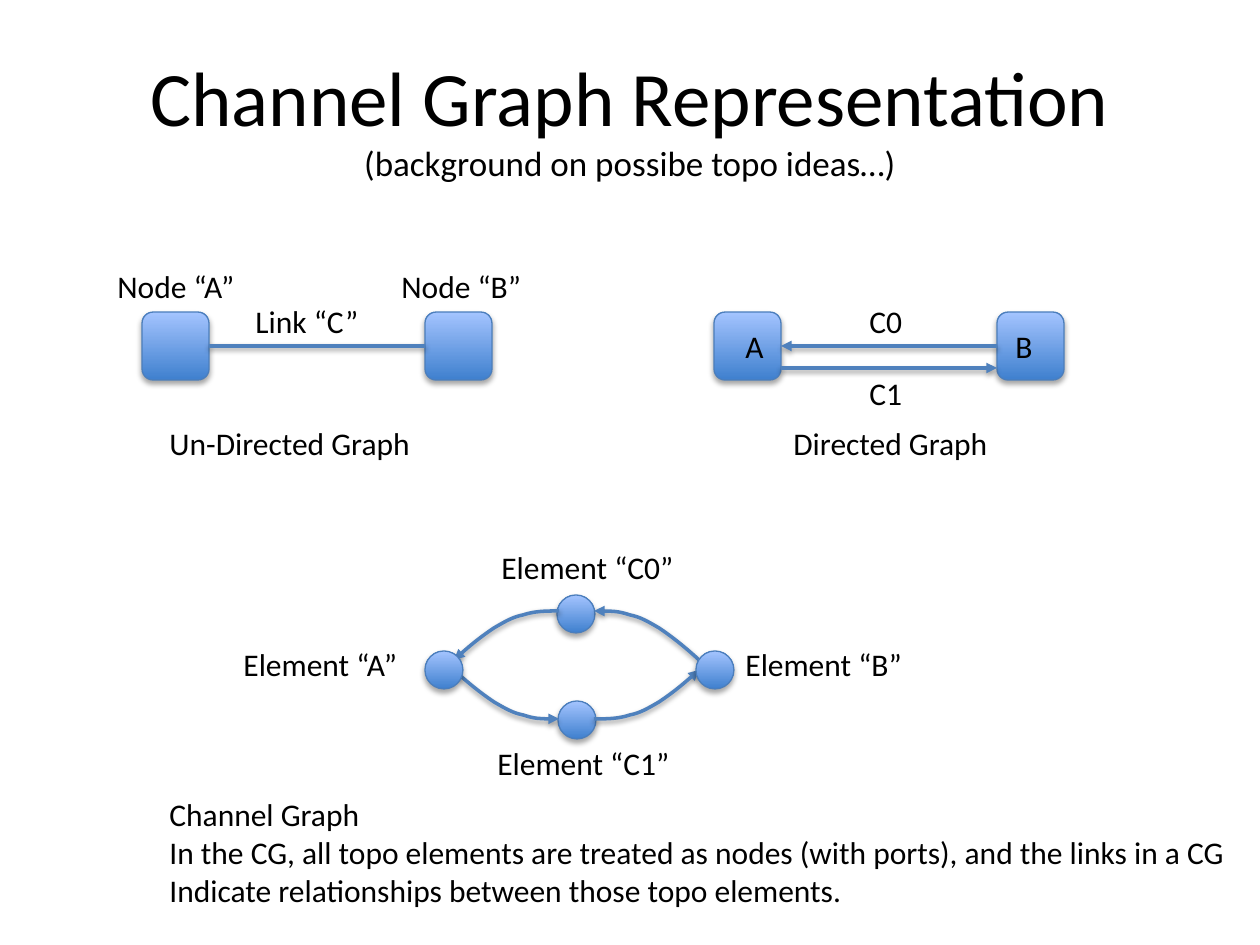
from lxml import etree
from pptx import Presentation
from pptx.dml.color import RGBColor
from pptx.enum.shapes import MSO_CONNECTOR, MSO_SHAPE
from pptx.enum.text import MSO_ANCHOR, MSO_AUTO_SIZE, PP_ALIGN
from pptx.oxml.ns import qn
from pptx.util import Emu, Pt

ROUND = MSO_SHAPE.ROUNDED_RECTANGLE
OVAL = MSO_SHAPE.OVAL
STRAIGHT = MSO_CONNECTOR.STRAIGHT
MIDDLE = MSO_ANCHOR.MIDDLE
TOP = MSO_ANCHOR.TOP
FIT = MSO_AUTO_SIZE.SHAPE_TO_FIT_TEXT
NO_FIT = MSO_AUTO_SIZE.NONE
LEFT = PP_ALIGN.LEFT
CENTER = PP_ALIGN.CENTER

HEAD, TAIL = "a:headEnd", "a:tailEnd"
NODE_W, NODE_H, DOT, LABEL_H = 67, 68, 38, 50
ARC = [(0, 0), (14, 13), (28, 24), (40, 32), (52, 39),
       (59, 43), (69, 45), (81, 49), (92, 49), (105, 49)]


def px(n):
    return Emu(round(n * 914400 / 126))


def rgb(color):
    return RGBColor.from_string(color)


def apply(obj, values):
    for name, value in values.items():
        setattr(obj, name, value)


class Deck:
    font = "Calibri"
    ink = "000000"
    edge = "4B7EBC"
    link = "4F81BD"
    gradient = ("3F80CE", "A4C4FF")

    def __init__(self, slide):
        self.shapes = slide.shapes

    def shadow(self, s, alpha, dist):
        spPr = s.element.spPr
        effects = spPr.find(qn("a:effectLst"))
        if effects is None:
            effects = etree.SubElement(spPr, qn("a:effectLst"))
        outer = etree.SubElement(
            effects, qn("a:outerShdw"), blurRad=str(Pt(3.1)),
            dist=str(Pt(dist)), dir="5400000", rotWithShape="0")
        color = etree.SubElement(outer, qn("a:srgbClr"), val="000000")
        etree.SubElement(color, qn("a:alpha"), val=str(alpha * 1000))

    def stroke(self, s, arrow):
        s.line.color.rgb = rgb(self.link)
        s.line.width = Pt(2)
        if arrow:
            ln = s.element.spPr.find(qn("a:ln"))
            etree.SubElement(ln, qn(arrow), type="triangle")
        self.shadow(s, 38, 1.6)

    def node(self, kind, x, y, w, h):
        s = self.shapes.add_shape(kind, px(x), px(y), px(w), px(h))
        s.shadow.inherit = False
        s.fill.gradient()
        s.fill.gradient_angle = 90
        for stop, color in zip(s.fill.gradient_stops, self.gradient):
            stop.color.rgb = rgb(color)
        s.line.color.rgb = rgb(self.edge)
        s.line.width = Pt(0.75)
        self.shadow(s, 35, 1.8)
        return s

    def line(self, x1, y1, x2, y2, arrow=None, ends=None):
        s = self.shapes.add_connector(STRAIGHT, px(x1), px(y1), px(x2), px(y2))
        if ends:
            s.begin_connect(ends[0], 1)
            s.end_connect(ends[1], 3)
        self.stroke(s, arrow)

    def curve(self, x, y, x_sign, y_sign, arrow):
        points = [(px(x + x_sign * dx), px(y + y_sign * dy)) for dx, dy in ARC]
        builder = self.shapes.build_freeform(*points[0])
        builder.add_line_segments(points[1:], close=False)
        s = builder.convert_to_shape()
        outline = s.element.spPr.find(".//" + qn("a:path"))
        segments = outline.findall(qn("a:lnTo"))
        for i in range(0, len(segments), 3):
            bezier = etree.SubElement(outline, qn("a:cubicBezTo"))
            for segment in segments[i:i + 3]:
                bezier.append(segment[0])
                outline.remove(segment)
        s.shadow.inherit = False
        s.fill.background()
        self.stroke(s, arrow)

    def run(self, p, text, size):
        r = p.add_run()
        r.text = text
        apply(r.font, {"name": self.font, "size": Pt(size)})
        r.font.color.rgb = rgb(self.ink)

    def frame(self, x, y, w, h, **values):
        tf = self.shapes.add_textbox(px(x), px(y), px(w), px(h)).text_frame
        apply(tf, values)
        return tf

    def title(self, x, y, w, h, title, subtitle):
        tf = self.frame(x, y, w, h, word_wrap=True, auto_size=NO_FIT,
                        vertical_anchor=MIDDLE)
        p = tf.paragraphs[0]
        p.alignment = CENTER
        self.run(p, title, 44)
        p.add_line_break()
        self.run(p, subtitle, 20)

    def label(self, x, y, w, *lines, h=LABEL_H, wrap=False):
        tf = self.frame(x, y, w, h, word_wrap=wrap, auto_size=FIT,
                        vertical_anchor=TOP)
        for i, text in enumerate(lines):
            p = tf.add_paragraph() if i else tf.paragraphs[0]
            p.alignment = LEFT
            self.run(p, text, 18)


def main():
    prs = Presentation()
    prs.slide_width, prs.slide_height = px(1260), px(945)
    deck = Deck(prs.slides.add_slide(prs.slide_layouts[6]))

    deck.title(63, 38, 1134, 157, "Channel Graph Representation",
               "(background on possibe topo ideas…)")

    for left, arrow in ((142, None), (714, TAIL)):
        right = left + 283
        a, b = (deck.node(ROUND, x, 312, NODE_W, NODE_H) for x in (left, right))
        deck.line(right, 346, left + NODE_W, 346, arrow, (b, a))
        if arrow:
            deck.line(right, 368, left + NODE_W, 368, HEAD)

    for x, y in ((558, 701), (557, 595)):
        deck.node(OVAL, x, y, DOT, DOT)
    for x, y, x_sign, y_sign, arrow in (
            (454, 660, 1, -1, HEAD), (699, 660, -1, -1, TAIL),
            (699, 670, -1, 1, HEAD), (454, 670, 1, 1, TAIL)):
        deck.curve(x, y, x_sign, y_sign, arrow)
    for x in (425, 696):
        deck.node(OVAL, x, 651, DOT, DOT)

    for x, y, w, text in (
            (105, 261, 145, "Node “A”"), (389, 261, 146, "Node “B”"),
            (243, 296, 130, "Link “C”"),
            (157, 418, 268, "Un-Directed Graph"),
            (781, 418, 222, "Directed Graph"),
            (489, 542, 199, "Element “C0”"), (485, 738, 199, "Element “C1”"),
            (231, 639, 180, "Element “A”"), (733, 639, 184, "Element “B”")):
        deck.label(x, y, w, text)
    for x, y, w, text in ((733, 321, 88, "A"), (1003, 321, 72, "B"),
                          (857, 296, 76, "C0"), (857, 368, 76, "C1")):
        deck.label(x, y, w, text, wrap=True)
    deck.label(
        157, 789, 1115, "Channel Graph",
        "In the CG, all topo elements are treated as nodes (with ports), "
        "and the links in a CG",
        "Indicate relationships between those topo elements.", h=127)

    prs.save("out.pptx")


if __name__ == "__main__":
    main()
